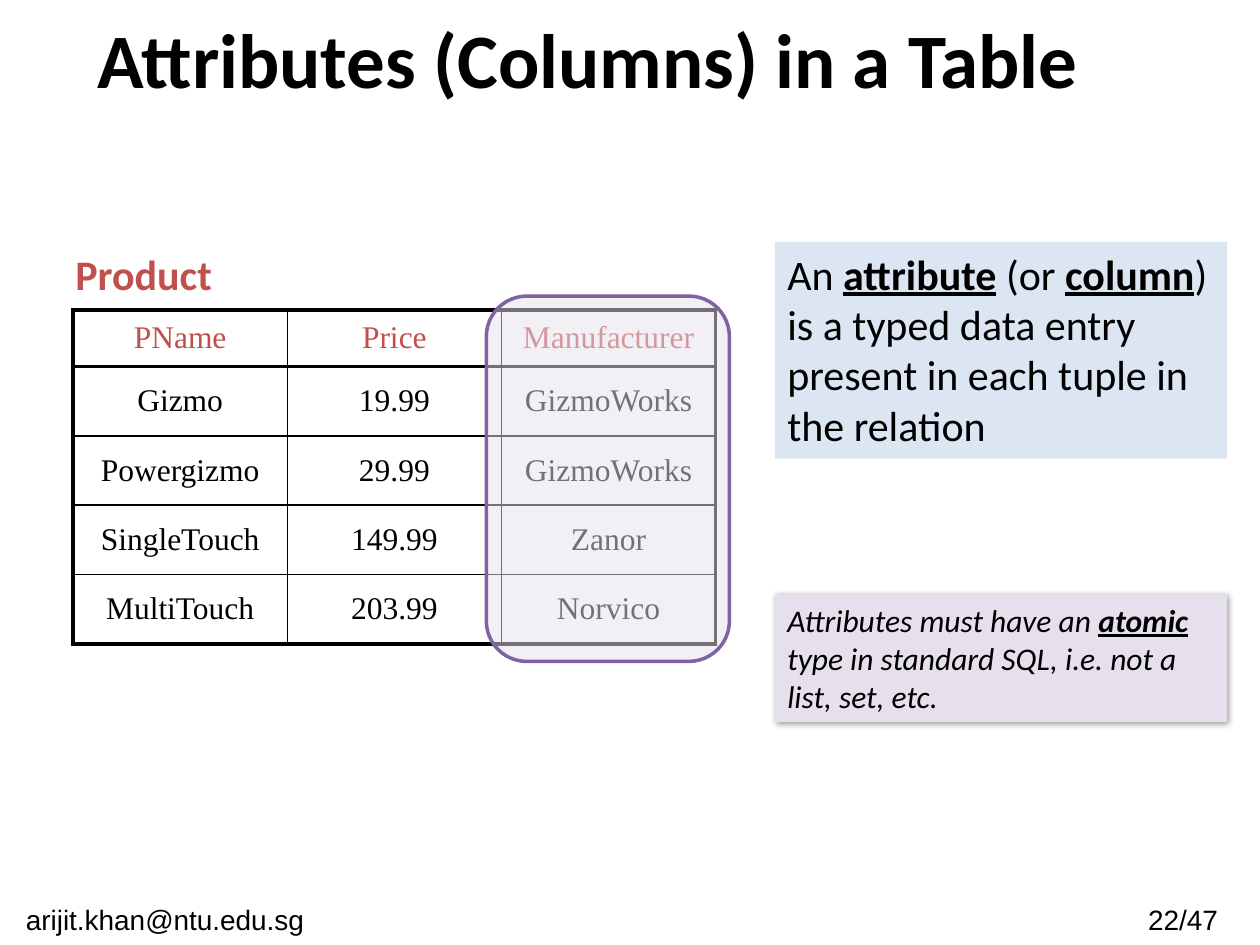
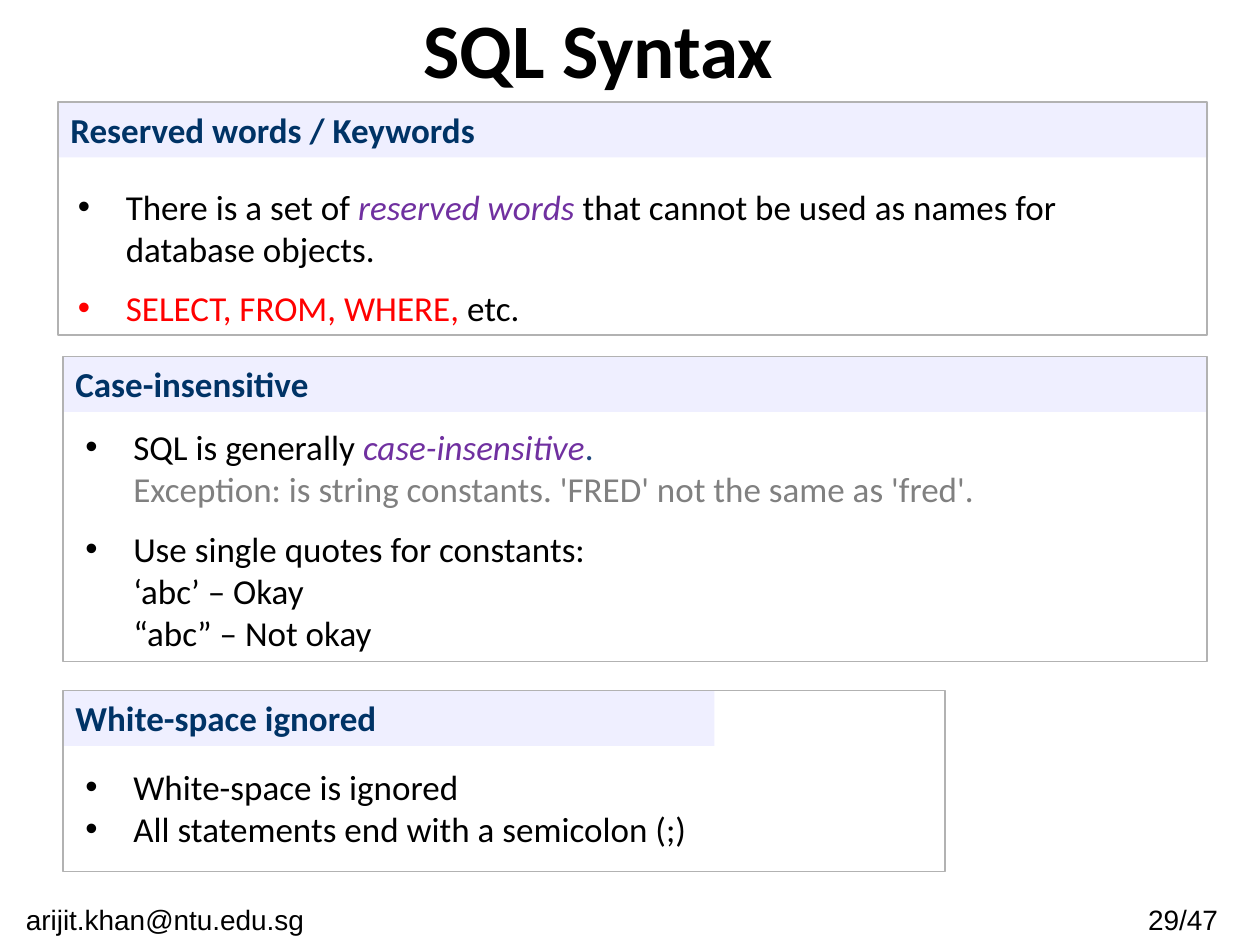
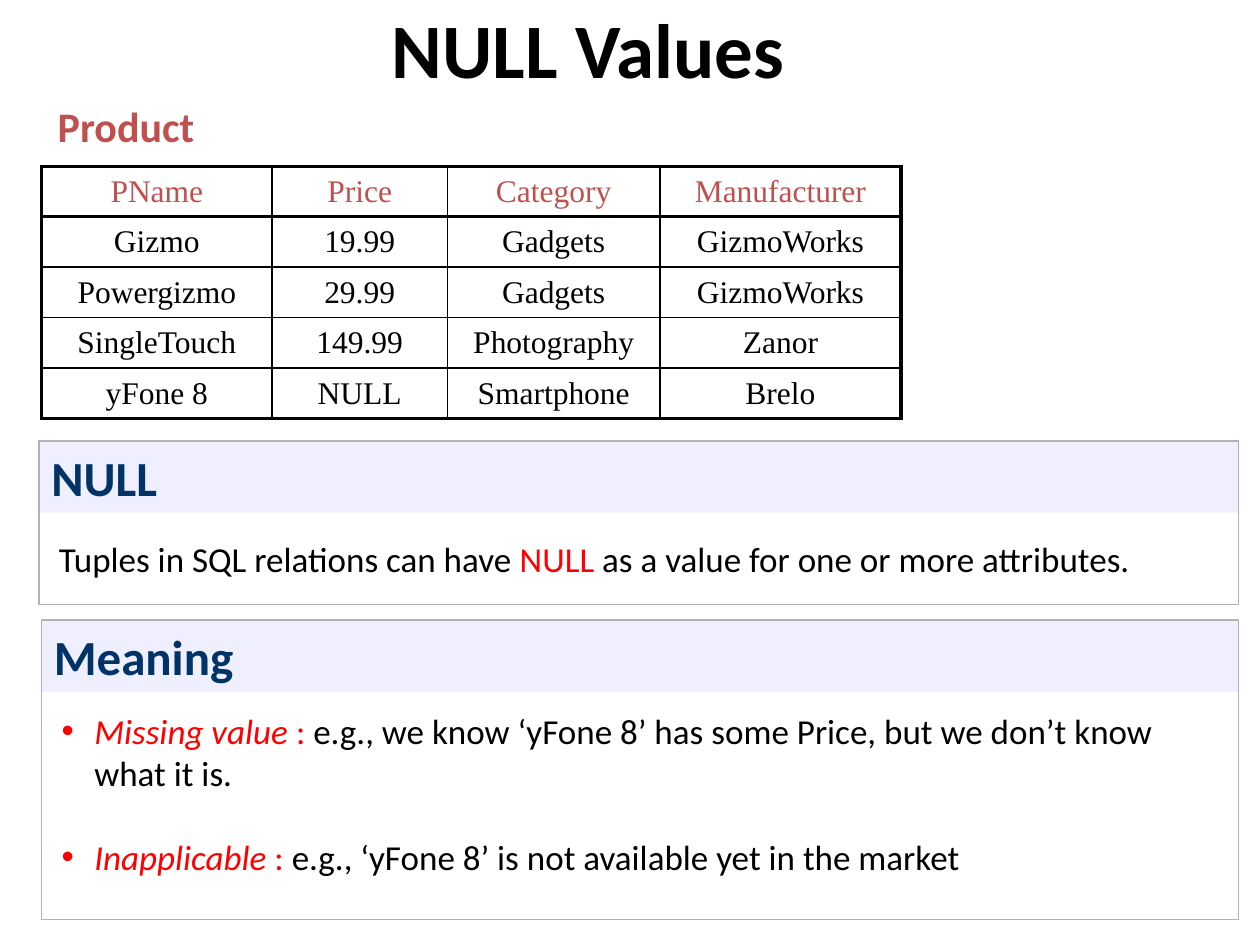
"""Build three slides on SQL attributes, syntax and NULL values."""
from lxml.etree import SubElement
from pptx import Presentation
from pptx.dml.color import RGBColor
from pptx.enum.shapes import MSO_SHAPE as Shape
from pptx.enum.text import MSO_ANCHOR as Anchor, PP_ALIGN as Align
from pptx.oxml.ns import qn
from pptx.util import Inches, Pt

COLOURS = {
    "black": "000000", "heading": "003366", "band": "EFEFFF", "frame": "B2B2B2",
    "product": "C0504D", "purple": "7030A0", "navy": "1F497D", "red": "FF0000",
    "grey": "808080", "blue_note": "DCE6F2", "lilac": "E6E0EC", "outline": "8064A2",
}
BULLET, INDENT, PLAIN = "bullet", "indent", "plain"
EMAIL = "arijit.khan@ntu.edu.sg"

ATTRIBUTE_ROWS = [
    ("PName", "Price", "Manufacturer"),
    ("Gizmo", "19.99", "GizmoWorks"),
    ("Powergizmo", "29.99", "GizmoWorks"),
    ("SingleTouch", "149.99", "Zanor"),
    ("MultiTouch", "203.99", "Norvico"),
]
NULL_ROWS = [
    ("PName", "Price", "Category", "Manufacturer"),
    ("Gizmo", "19.99", "Gadgets", "GizmoWorks"),
    ("Powergizmo", "29.99", "Gadgets", "GizmoWorks"),
    ("SingleTouch", "149.99", "Photography", "Zanor"),
    ("yFone 8", "NULL", "Smartphone", "Brelo"),
]

# Each paragraph is (kind, runs, points before); each run is (text, colour, style).
ATTRIBUTE_NOTE = [(PLAIN, [
    ("An ",), ("attribute", "black", "bu"), (" (or ",), ("column", "black", "bu"),
    (") is a typed data entry present in each tuple in the relation",)], 0)]
ATOMIC_NOTE = [(PLAIN, [
    ("Attributes must have an ", "black", "i"), ("atomic", "black", "biu"),
    (" type in standard SQL, i.e. not a list, set, etc.", "black", "i")], 0)]

SYNTAX_SECTIONS = [
    {"heading": "Reserved words / Keywords", "frame": (0.46, 0.81, 9.12, 1.85),
     "band": (9.13, 0.44), "body": (0.52, 1.42, 8.91, 1.25), "hang": 0.38,
     "text": [
         (BULLET, [("There is a set of ",), ("reserved words ", "purple", "i"),
                   ("that cannot be used as names for database objects.",)], 0),
         (BULLET, [("SELECT, FROM, WHERE, ", "red"), ("etc.",)], 10)]},
    {"heading": "Case-insensitive", "frame": (0.5, 2.83, 9.08, 2.42),
     "band": (9.08, 0.44), "body": (0.58, 3.33, 9, 1.92), "hang": 0.38,
     "text": [
         (BULLET, [("SQL is generally ",), ("case-insensitive", "purple", "i"),
                   (".", "navy")], 0),
         (INDENT, [("Exception: is string constants. 'FRED' not the same as 'fred'.",
                    "grey")], 0),
         (BULLET, [("Use single quotes for constants:",)], 10),
         (INDENT, [("‘abc’ – Okay",)], 0),
         (INDENT, [("“abc” – Not okay",)], 0)]},
    {"heading": "White-space ignored", "frame": (0.5, 5.48, 7, 1.44),
     "band": (5.17, 0.44), "body": (0.58, 6.03, 6.25, 0.77), "hang": 0.38,
     "text": [
         (BULLET, [("White-space is ignored",)], 0),
         (BULLET, [("All statements end with a semicolon (;)",)], 0)]},
]
NULL_SECTIONS = [
    {"heading": "NULL", "frame": (0.31, 3.5, 9.52, 1.3),
     "band": (9.52, 0.57), "body": (0.37, 4.22, 9.47, 0.44), "hang": 0,
     "text": [
         (PLAIN, [("Tuples in SQL relations can have ",), ("NULL", "red"),
                  (" as a value for one or more attributes.",)], 0)]},
    {"heading": "Meaning", "frame": (0.33, 4.92, 9.5, 2.38),
     "band": (9.5, 0.57), "body": (0.39, 5.58, 9.36, 1.45), "hang": 0.26,
     "text": [
         (BULLET, [("Missing value ", "red", "i"), (":", "red"),
                   (" e.g., we know ‘yFone 8’ has some Price, "
                    "but we don’t know what it is.",)], 0),
         (BULLET, [("Inapplicable", "red", "i"), (" : ", "red"),
                   ("e.g., ‘yFone 8’ is not available yet in the market",)], 24)]},
]


def rgb(name):
    return RGBColor.from_string(COLOURS[name])


def set_font(font, size, colour="black", name="Calibri", bold=False):
    font.name, font.size, font.bold = name, Pt(size), bold
    font.color.rgb = rgb(colour)


def add_panel(page, place, fill=None, line=None, width=0.75, kind=Shape.RECTANGLE):
    panel = page.shapes.add_shape(kind, *map(Inches, place))
    panel.shadow.inherit = False
    if fill:
        panel.fill.solid()
        panel.fill.fore_color.rgb = rgb(fill)
    else:
        panel.fill.background()
    if line:
        panel.line.color.rgb = rgb(line)
        panel.line.width = Pt(width)
    else:
        panel.line.fill.background()
    return panel


def add_text(page, place, paragraphs, size, fill=None, hang=0, align=Align.LEFT,
             anchor=Anchor.TOP, **look):
    box = add_panel(page, place, fill) if fill else page.shapes.add_textbox(*map(Inches, place))
    frame = box.text_frame
    frame.word_wrap, frame.vertical_anchor = True, anchor
    for index, (kind, runs, gap) in enumerate(paragraphs):
        para = frame.add_paragraph() if index else frame.paragraphs[0]
        para.alignment = align
        if kind != PLAIN:
            props = para._p.get_or_add_pPr()
            props.set("marL", str(Inches(hang)))
            props.set("indent", str(-Inches(hang) if kind == BULLET else 0))
            if kind == BULLET:
                SubElement(props, qn("a:buFont"), typeface="Arial")
                SubElement(props, qn("a:buChar"), char="•")
        if gap:
            para.space_before = Pt(gap)
        set_font(para.font, size, **look)
        for text, colour, style in (run + ("black", "")[len(run) - 1:] for run in runs):
            span = para.add_run()
            span.text = text
            if colour != "black":
                span.font.color.rgb = rgb(colour)
            if "b" in style:
                span.font.bold = True
            if "i" in style:
                span.font.italic = True
            if "u" in style:
                span.font.underline = True
    return box


def add_line(page, place, text, size, **look):
    return add_text(page, place, [(PLAIN, [(text,)], 0)], size, **look)


def add_page(deck, title, left, top, number=None):
    page = deck.slides.add_slide(deck.slide_layouts[6])
    add_line(page, (left, top, 9, 0.75), title, 44, bold=True,
             align=Align.CENTER, anchor=Anchor.MIDDLE)
    if number:
        for place, text in (((8.85, 7.11, 1.08, 0.39), f"{number}/47"),
                            ((0, 7.11, 2.62, 0.39), EMAIL)):
            add_line(page, place, text, 16, name="Arial", align=Align.CENTER)
    return page


def add_border(cell, side, width):
    line = SubElement(cell._tc.get_or_add_tcPr(), qn(f"a:{side}"), w=str(Pt(width)))
    SubElement(SubElement(line, qn("a:solidFill")), qn("a:srgbClr"), val=COLOURS["black"])


def add_product_table(page, left, top, widths, heights, rows):
    add_line(page, (left, top - 0.55, 1.5, 0.5), "Product", 24, colour="product", bold=True)


def add_grid(page, left, top, widths, heights, rows):
    size = map(Inches, (left, top, sum(widths), sum(heights)))
    table = page.shapes.add_table(len(rows), len(widths), *size).table
    table.first_row = table.horz_banding = False
    for column, width in zip(table.columns, widths):
        column.width = Inches(width)
    last_row, last_column = len(rows) - 1, len(widths) - 1
    for r, values in enumerate(rows):
        table.rows[r].height = Inches(heights[r])
        for c, value in enumerate(values):
            cell = table.cell(r, c)
            cell.text = value
            cell.vertical_anchor = Anchor.MIDDLE
            para = cell.text_frame.paragraphs[0]
            para.alignment = Align.CENTER
            set_font(para.font, 18, "black" if r else "product", "Times New Roman")
            thick = {"lnL": c == 0, "lnR": c == last_column,
                     "lnT": r <= 1, "lnB": r in (0, last_row)}
            for side, heavy in thick.items():
                add_border(cell, side, 2.25 if heavy else 1)
            cell.fill.background()


def add_product_label(page, left, top):
    add_line(page, (left, top, 1.5, 0.5), "Product", 24, colour="product", bold=True)


def add_section(page, section, heading_size):
    left, top = section["frame"][:2]
    add_line(page, (left, top, *section["band"]), section["heading"], heading_size,
             fill="band", colour="heading", bold=True)
    add_panel(page, section["frame"], line="frame")
    add_text(page, section["body"], section["text"], 20, hang=section["hang"])


def add_highlight(page, place):
    highlight = add_panel(page, place, "lilac", "outline", 2, Shape.ROUNDED_RECTANGLE)
    colour = highlight._element.spPr.find(qn("a:solidFill")).find(qn("a:srgbClr"))
    SubElement(colour, qn("a:alpha"), val="50000")


def add_shadow(box):
    effects = box._element.spPr.find(qn("a:effectLst"))
    shadow = SubElement(effects, qn("a:outerShdw"), blurRad=str(Pt(4)), dist=str(Pt(1)),
                        dir=str(45 * 60000), rotWithShape="0")
    colour = SubElement(shadow, qn("a:srgbClr"), val=COLOURS["black"])
    SubElement(colour, qn("a:alpha"), val="40000")


def main():
    deck = Presentation()
    deck.slide_width, deck.slide_height = Inches(10), Inches(7.5)

    page = add_page(deck, "Attributes (Columns) in a Table", 0.17, 0.08, 22)
    add_grid(page, 0.58, 2.46, [1.7] * 3, [0.45] + [0.55] * 4, ATTRIBUTE_ROWS)
    add_product_label(page, 0.5, 1.92)
    add_highlight(page, (3.86, 2.35, 1.93, 2.9))
    add_text(page, (6.15, 1.92, 3.59, 1.72), ATTRIBUTE_NOTE, 24, fill="blue_note")
    add_shadow(add_text(page, (6.15, 4.72, 3.59, 1.01), ATOMIC_NOTE, 18, fill="lilac"))

    page = add_page(deck, "SQL Syntax", 0.25, 0, 29)
    for section in SYNTAX_SECTIONS:
        add_section(page, section, 20)

    page = add_page(deck, "NULL Values", 0.17, 0)
    add_grid(page, 0.33, 1.32, [1.83, 1.39, 1.69, 1.91], [0.4] * 5, NULL_ROWS)
    add_product_label(page, 0.36, 0.75)
    for section in NULL_SECTIONS:
        add_section(page, section, 28)

    deck.save("out.pptx")


if __name__ == "__main__":
    main()
